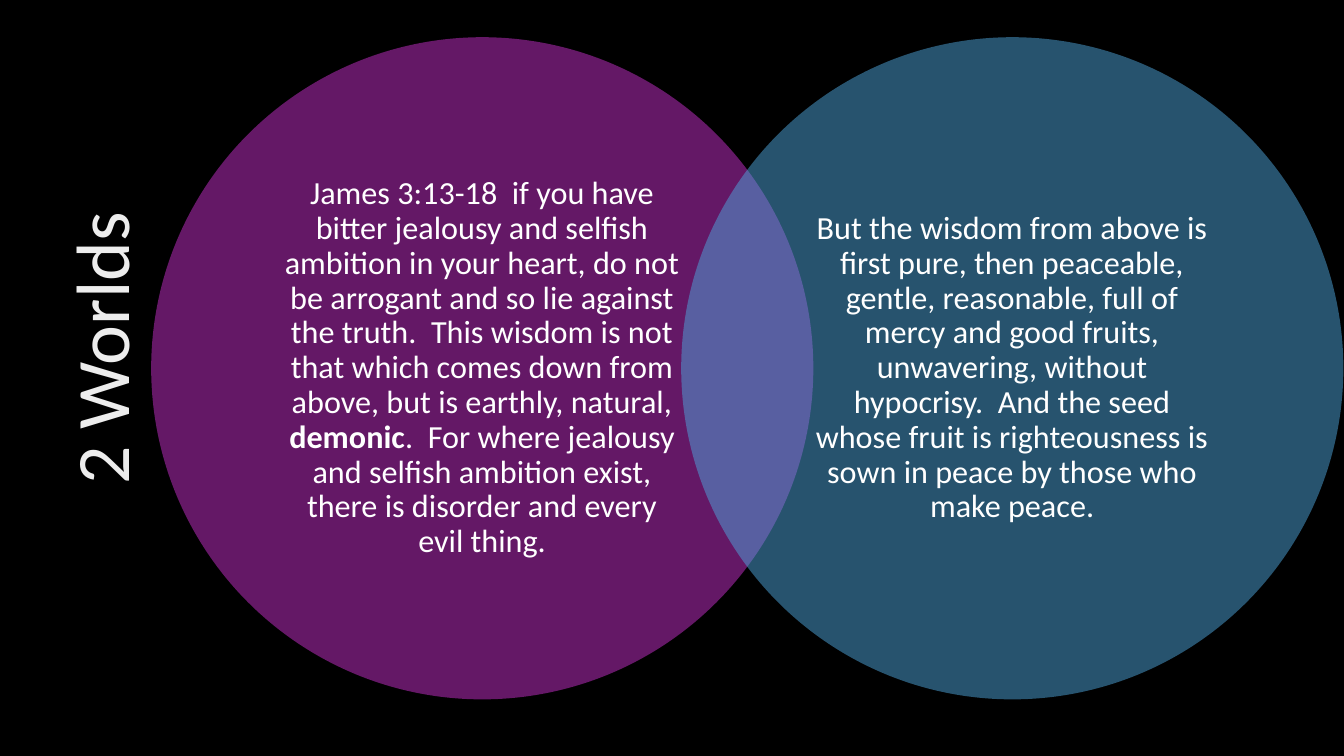
from lxml import etree
from pptx import Presentation
from pptx.dml.color import RGBColor
from pptx.enum.shapes import MSO_SHAPE
from pptx.enum.text import MSO_ANCHOR, PP_ALIGN
from pptx.oxml.ns import qn
from pptx.util import Pt

OVAL = MSO_SHAPE.OVAL
CENTER = PP_ALIGN.CENTER
MIDDLE = MSO_ANCHOR.MIDDLE
FONT = "Calibri"

DIAMETER = 473
CIRCLE_TOP = 26.6
CIRCLE_LEFT = 108
CIRCLE_STEP = 378.6
TEXT_MARGIN = 69.4

WORLDS = [
    ("C830CC", [
        ("James 3:13-18  if you have bitter jealousy and selfish ambition in your heart, "
         "do not be arrogant and so lie against the truth.  This wisdom is not that which "
         "comes down from above, but is earthly, natural, ", False),
        ("demonic", True),
        (".  For where jealousy and selfish ambition exist, there is disorder and every "
         "evil thing.", False),
    ]),
    ("4EA6DC", [
        ("But the wisdom from above is first pure, then peaceable, gentle, reasonable, "
         "full of mercy and good fruits, unwavering, without hypocrisy.  And the seed "
         "whose fruit is righteousness is sown in peace by those who make peace.", False),
    ]),
]


def paint(fill, color, opacity=100):
    """Give a fill a solid hex colour with an opacity in percent."""
    fill.solid()
    fill.fore_color.rgb = RGBColor.from_string(color)
    if opacity < 100:
        color_element = fill._xPr.find(qn("a:solidFill"))[0]
        etree.SubElement(color_element, qn("a:alpha"), val=str(opacity * 1000))


def add_text(slide, runs, left, top, width, height, size, color="FFFFFF",
             rotation=0, side_inset=7.2, edge_inset=3.6):
    """Add a centred text box made of (text, bold) runs."""
    shape = slide.shapes.add_textbox(Pt(left), Pt(top), Pt(width), Pt(height))
    shape.rotation = rotation
    frame = shape.text_frame
    frame.word_wrap = True
    frame.vertical_anchor = MIDDLE
    frame.margin_left = frame.margin_right = Pt(side_inset)
    frame.margin_top = frame.margin_bottom = Pt(edge_inset)
    paragraph = frame.paragraphs[0]
    paragraph.alignment = CENTER
    paragraph.line_spacing = 0.9
    for text, bold in runs:
        run = paragraph.add_run()
        run.text = text
        run.font.name = FONT
        run.font.size = Pt(size)
        run.font.bold = bold
        paint(run.font.fill, color)


def add_title(slide, left, top, width, height):
    """Add the title, turned to read upwards inside the given box."""
    add_text(slide, [("2 Worlds", False)], left + (width - height) / 2,
             top + (height - width) / 2, height, width, 54, color="EDEDED", rotation=270)


def add_world(slide, left, top, diameter, color, runs):
    """Add one translucent circle and the text inside it."""
    circle = slide.shapes.add_shape(OVAL, Pt(left), Pt(top), Pt(diameter), Pt(diameter))
    circle.shadow.inherit = False
    circle.line.fill.background()
    paint(circle.fill, color, opacity=50)
    text_size = diameter - 2 * TEXT_MARGIN
    add_text(slide, runs, left + TEXT_MARGIN, top + TEXT_MARGIN, text_size, text_size,
             23, side_inset=26, edge_inset=2.3)


def main():
    """Build the slide and save it."""
    presentation = Presentation()
    presentation.slide_width = Pt(960)
    presentation.slide_height = Pt(540)
    slide = presentation.slides.add_slide(presentation.slide_layouts[6])
    paint(slide.background.fill, "000000")
    add_title(slide, 23, 20.9, 104.4, 455.8)
    for index, (color, runs) in enumerate(WORLDS):
        add_world(slide, CIRCLE_LEFT + index * CIRCLE_STEP, CIRCLE_TOP, DIAMETER, color, runs)
    presentation.save("out.pptx")


if __name__ == "__main__":
    main()
